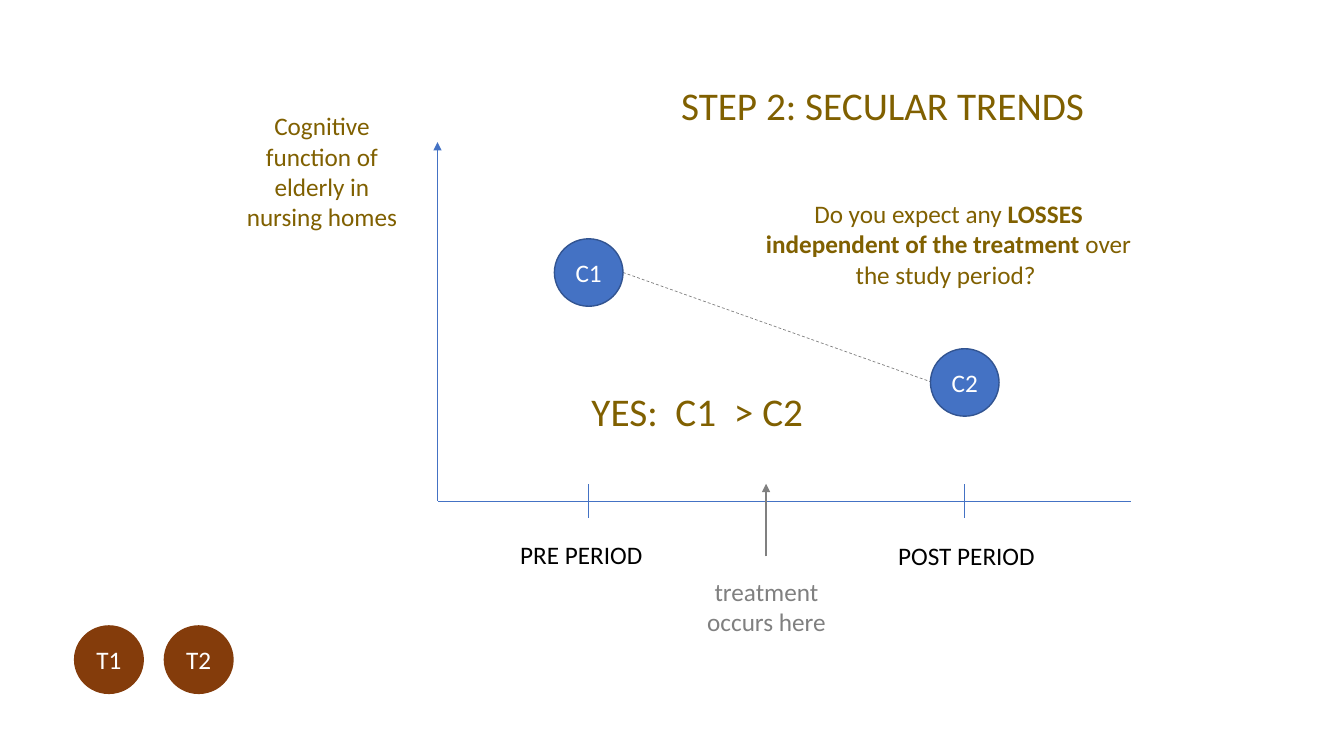
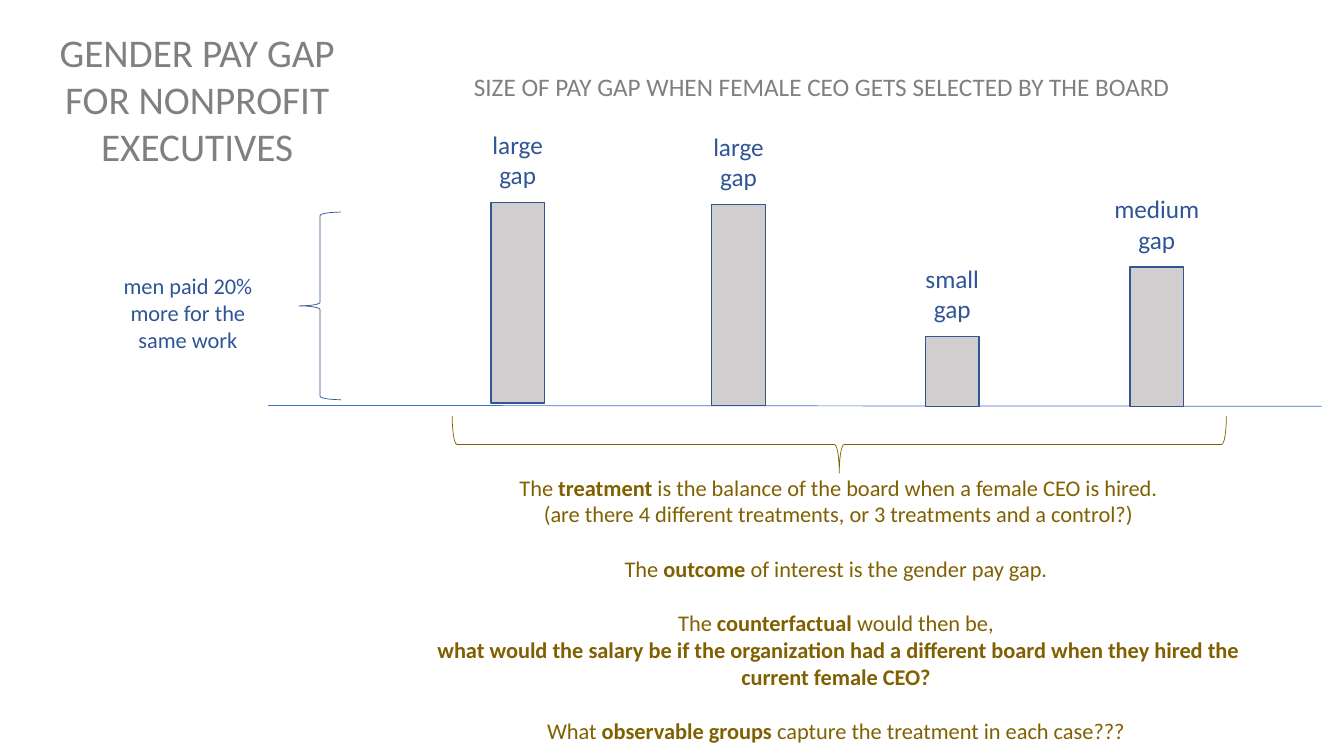
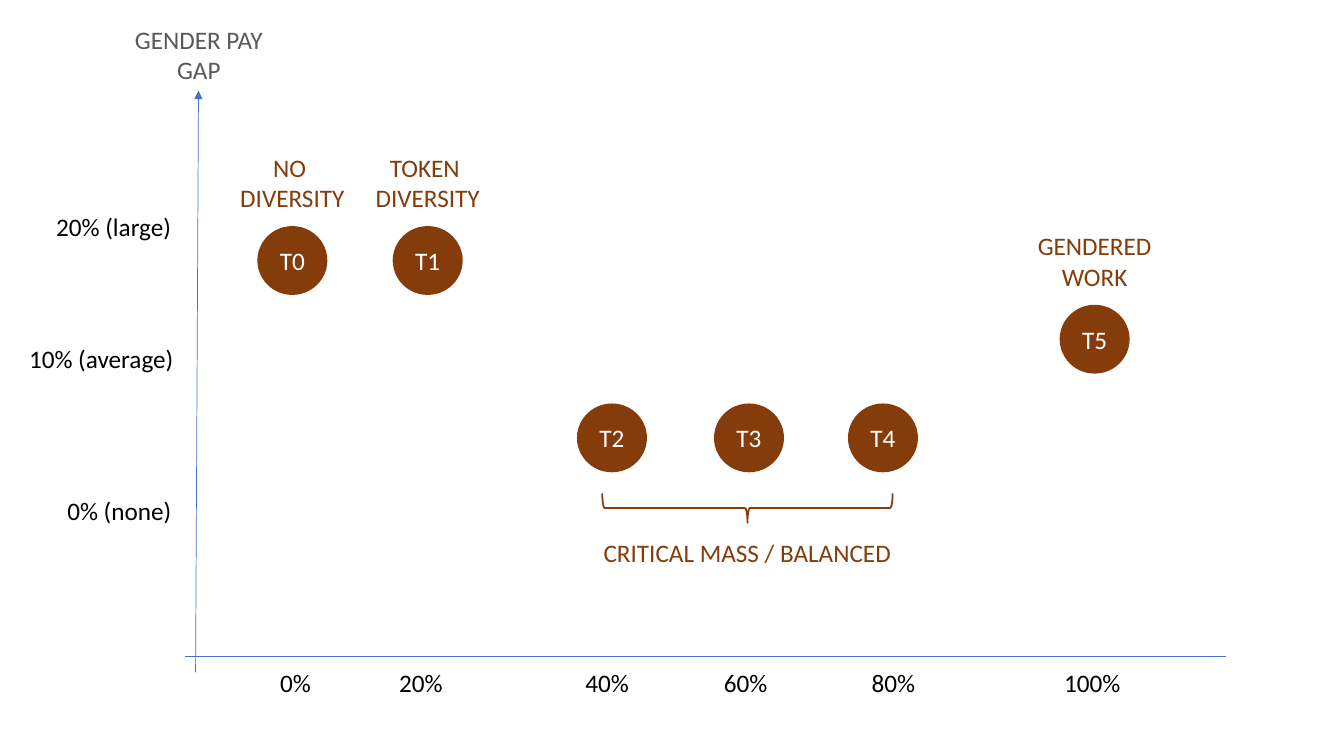
from dataclasses import dataclass

from lxml import etree
from pptx import Presentation
from pptx.dml.color import RGBColor
from pptx.enum.dml import MSO_LINE
from pptx.enum.shapes import MSO_CONNECTOR, MSO_SHAPE
from pptx.enum.text import MSO_ANCHOR, MSO_AUTO_SIZE, PP_ALIGN
from pptx.oxml.ns import qn
from pptx.shapes.autoshape import Shape
from pptx.slide import Slide
from pptx.text.text import TextFrame
from pptx.util import Pt

LEFT, CENTER = PP_ALIGN.LEFT, PP_ALIGN.CENTER
MIDDLE = MSO_ANCHOR.MIDDLE
GROW = MSO_AUTO_SIZE.SHAPE_TO_FIT_TEXT
STRAIGHT = MSO_CONNECTOR.STRAIGHT
DASH = MSO_LINE.DASH
OVAL, RECTANGLE = MSO_SHAPE.OVAL, MSO_SHAPE.RECTANGLE
LEFT_BRACE, RIGHT_BRACE = MSO_SHAPE.LEFT_BRACE, MSO_SHAPE.RIGHT_BRACE

FONT = "Calibri"
BODY_SIZE, TITLE_SIZE, NOTE_SIZE = 18, 28, 16
COLORS = {
    "axis": "4472C4", "outline": "325491", "blue": "2F5597",
    "brown": "843C0B", "olive": "806000", "bar": "D0CECE",
    "gray": "808080", "dark_gray": "595959",
    "black": "000000", "white": "FFFFFF",
}
CIRCLE_WIDTH, CIRCLE_HEIGHT = 49, 48.2
LINE_HEIGHT, TWO_LINES = 29, 51


@dataclass(frozen=True)
class Label:
    text: str
    left: float
    top: float
    width: float


@dataclass(frozen=True)
class Bar:
    left: float
    top: float
    height: float
    caption: str
    caption_width: float


@dataclass(frozen=True)
class Treatment:
    name: str
    left: float
    top: float
    share: Label
    caption: str = ""


def color(name: str) -> RGBColor:
    return RGBColor.from_string(COLORS[name])


def write(frame: TextFrame, text: str, *, size: float = BODY_SIZE,
          ink: str = "black", align: PP_ALIGN = LEFT, gap: float = 0) -> None:
    """Newline: paragraph; vertical tab: line break; ** toggles bold."""
    for number, content in enumerate(text.split("\n")):
        paragraph = frame.add_paragraph() if number else frame.paragraphs[0]
        paragraph.alignment = align
        if number and gap:
            paragraph.space_before = Pt(gap)
        for index, part in enumerate(content.split("**")):
            for position, line in enumerate(part.split("\v")):
                if position:
                    paragraph.add_line_break()
                if not line:
                    continue
                run = paragraph.add_run()
                run.text = line
                run.font.name = FONT
                run.font.size = Pt(size)
                run.font.bold = index % 2 == 1
                run.font.color.rgb = color(ink)


def add_text(slide: Slide, text: str, left: float, top: float, width: float,
             height: float = LINE_HEIGHT, *, wrap: bool = False,
             size: float = BODY_SIZE, ink: str = "black",
             align: PP_ALIGN = LEFT, gap: float = 0) -> None:
    box = slide.shapes.add_textbox(Pt(left), Pt(top), Pt(width), Pt(height))
    box.text_frame.word_wrap = wrap
    box.text_frame.auto_size = GROW
    write(box.text_frame, text, size=size, ink=ink, align=align, gap=gap)


def add_line(slide: Slide, x1: float, y1: float, x2: float, y2: float, *,
             ink: str = "axis", weight: float = 0.5, arrow: bool = False,
             dashed: bool = False) -> None:
    connector = slide.shapes.add_connector(STRAIGHT, Pt(x1), Pt(y1), Pt(x2), Pt(y2))
    connector.line.color.rgb = color(ink)
    connector.line.width = Pt(weight)
    if dashed:
        connector.line.dash_style = DASH
    properties = connector._element.spPr
    if arrow:
        outline = properties.find(qn("a:ln"))
        etree.SubElement(outline, qn("a:tailEnd"), type="triangle")
    etree.SubElement(properties, qn("a:effectLst"))


def add_shape(slide: Slide, kind: MSO_SHAPE, left: float, top: float,
              width: float, height: float, *, line: str, weight: float = 1,
              fill: str = "") -> Shape:
    shape = slide.shapes.add_shape(kind, Pt(left), Pt(top), Pt(width), Pt(height))
    shape.shadow.inherit = False
    if fill:
        shape.fill.solid()
        shape.fill.fore_color.rgb = color(fill)
    else:
        shape.fill.background()
    shape.line.color.rgb = color(line)
    shape.line.width = Pt(weight)
    return shape


def add_circle(slide: Slide, name: str, left: float, top: float, *,
               fill: str = "brown", line: str = "brown") -> None:
    circle = add_shape(slide, OVAL, left, top, CIRCLE_WIDTH, CIRCLE_HEIGHT,
                       fill=fill, line=line)
    circle.text_frame.word_wrap = False
    circle.text_frame.vertical_anchor = MIDDLE
    write(circle.text_frame, name, ink="white", align=CENTER)


def add_brace_below(slide: Slide, left: float, top: float, width: float,
                    depth: float, *, line: str, weight: float) -> None:
    """A brace that opens upwards: a right brace turned a quarter."""
    brace = add_shape(slide, RIGHT_BRACE, left + (width - depth) / 2,
                      top + (depth - width) / 2, depth, width,
                      line=line, weight=weight)
    brace.rotation = 90


def build_trends(slide: Slide) -> None:
    # Axes with period ticks
    axis_y, tick = 357.8, 12
    add_line(slide, 312.5, axis_y, 312.5, 101.5, arrow=True)
    add_line(slide, 313, axis_y, 808, axis_y)
    for x in (420.5, 689):
        add_line(slide, x, axis_y - tick, x, axis_y + tick)
    for label in (Label("PRE PERIOD", 364.5, 381.6, 102),
                  Label("POST PERIOD", 634.5, 382.3, 113)):
        add_text(slide, label.text, label.left, label.top, label.width)
    add_text(slide, "Cognitive function of elderly in nursing homes",
             162, 75.6, 136, 94, wrap=True, ink="olive", align=CENTER)

    # Treatment marker
    add_line(slide, 547.2, 397.4, 547.2, 345.6, ink="gray", weight=1.25, arrow=True)
    add_text(slide, "treatment\voccurs here", 497.5, 408.2, 100, TWO_LINES,
             ink="gray", align=CENTER)

    # Comparison and treatment circles
    add_line(slide, 445, 194.6, 664.8, 272.7, ink="gray", dashed=True)
    for name, left, top in (("C1", 396, 170.6), ("C2", 664.6, 249.1)):
        add_circle(slide, name, left, top, fill="axis", line="outline")
    for name, left in (("T1", 53.3), ("T2", 117.4)):
        add_circle(slide, name, left, 447.1)

    # Headings and question
    add_text(slide, "STEP 2: SECULAR TRENDS", 454.3, 54.7, 352, 41,
             size=TITLE_SIZE, ink="olive", align=CENTER)
    add_text(slide, "YES:  C1  > C2", 391, 272.9, 214, 41,
             size=TITLE_SIZE, ink="olive", align=CENTER)
    add_text(slide, "Do you expect any **LOSSES independent of the treatment **"
             "over the study period? ", 528.5, 138.2, 298, 73,
             wrap=True, ink="olive", align=CENTER)


def build_pay_gap(slide: Slide) -> None:
    # Headings
    add_text(slide, "GENDER PAY GAP FOR NONPROFIT\nEXECUTIVES",
             24.5, 16.6, 232.6, 109, wrap=True, size=TITLE_SIZE,
             ink="gray", align=CENTER)
    add_text(slide, "SIZE OF PAY GAP WHEN FEMALE CEO GETS SELECTED BY THE BOARD",
             329, 47.5, 516, ink="gray", align=CENTER)

    # Bars on their base line
    add_line(slide, 191.5, 289.6, 944, 290.2)
    bar_width, caption_rise = 38.4, 56
    for bar in (Bar(350.6, 144.7, 143.3, "large\ngap", 51),
                Bar(508.3, 146.2, 143.3, "large\ngap", 51),
                Bar(661, 240.5, 49.7, "small\ngap", 53),
                Bar(807.1, 190.8, 99.4, "medium\ngap", 76)):
        add_shape(slide, RECTANGLE, bar.left, bar.top, bar_width, bar.height,
                  fill="bar", line="outline")
        add_text(slide, bar.caption, bar.left + (bar_width - bar.caption_width) / 2,
                 bar.top - caption_rise, bar.caption_width, TWO_LINES,
                 ink="blue", align=CENTER)

    # Scale of the gap
    add_shape(slide, LEFT_BRACE, 213.5, 151.5, 30.2, 134, line="blue", weight=0.5)
    add_text(slide, "men paid 20% more for the same work", 77.8, 190.8, 113, 65.5,
             wrap=True, size=NOTE_SIZE, ink="blue", align=CENTER)

    # Explanation under the bars
    add_brace_below(slide, 323, 297, 553, 41, line="olive", weight=0.5)
    add_text(slide, "The **treatment** is the balance of the board when a female CEO "
             "is hired.\v(are there 4 different treatments, or 3 treatments and a "
             "control?)\n"
             "The **outcome **of interest is the gender pay gap. \n"
             "The **counterfactual **would then be, \v**what would the salary be if "
             "the organization had a different board when they hired the current "
             "female CEO? **\n"
             "What **observable groups **capture the treatment in each case??? ",
             296.6, 334.8, 604.8, 220, wrap=True, size=NOTE_SIZE, ink="olive",
             align=CENTER, gap=19.5)


def build_diversity(slide: Slide) -> None:
    # Axes with gap sizes
    add_line(slide, 139.7, 480.2, 141.8, 64.8, arrow=True)
    add_line(slide, 132.5, 468.7, 875.5, 468.7)
    add_text(slide, "GENDER PAY GAP", 82, 13.7, 120, TWO_LINES, wrap=True,
             ink="dark_gray", align=CENTER)
    for label in (Label("20% (large)", 33, 147.6, 98),
                  Label("10% (average)", 13.7, 242, 119),
                  Label("0% (none)", 41, 350.6, 90)):
        add_text(slide, label.text, label.left, label.top, label.width)

    # Treatments above their shares
    high, middle, low, share_top = 162, 218.2, 288.7, 473
    caption_width, caption_rise = 96, 57
    for treatment in (
        Treatment("T0", 184.3, high, Label("0%", 193, share_top, 55), "NO \nDIVERSITY"),
        Treatment("T1", 281, high, Label("20%", 278, share_top, 55), "TOKEN \nDIVERSITY"),
        Treatment("T2", 412.6, low, Label("40%", 411, share_top, 55)),
        Treatment("T3", 510.5, low, Label("60%", 510, share_top, 55)),
        Treatment("T4", 606.2, low, Label("80%", 615.6, share_top, 55)),
        Treatment("T5", 757.4, middle, Label("100%", 753, share_top, 77),
                  "GENDERED\nWORK"),
    ):
        share = treatment.share
        add_circle(slide, treatment.name, treatment.left, treatment.top)
        add_text(slide, share.text, share.left, share.top, share.width, wrap=True)
        if treatment.caption:
            add_text(slide, treatment.caption,
                     treatment.left + (CIRCLE_WIDTH - caption_width) / 2,
                     treatment.top - caption_rise, caption_width, TWO_LINES,
                     ink="brown", align=CENTER)

    # Balanced boards
    add_brace_below(slide, 430.2, 352.4, 207.4, 21, line="brown", weight=1.25)
    add_text(slide, "CRITICAL MASS / BALANCED", 424, 380.2, 226, ink="brown")


def main() -> None:
    presentation = Presentation()
    presentation.slide_width, presentation.slide_height = Pt(960), Pt(540)
    blank = presentation.slide_layouts[6]
    for build in (build_trends, build_pay_gap, build_diversity):
        build(presentation.slides.add_slide(blank))
    presentation.save("out.pptx")


main()
